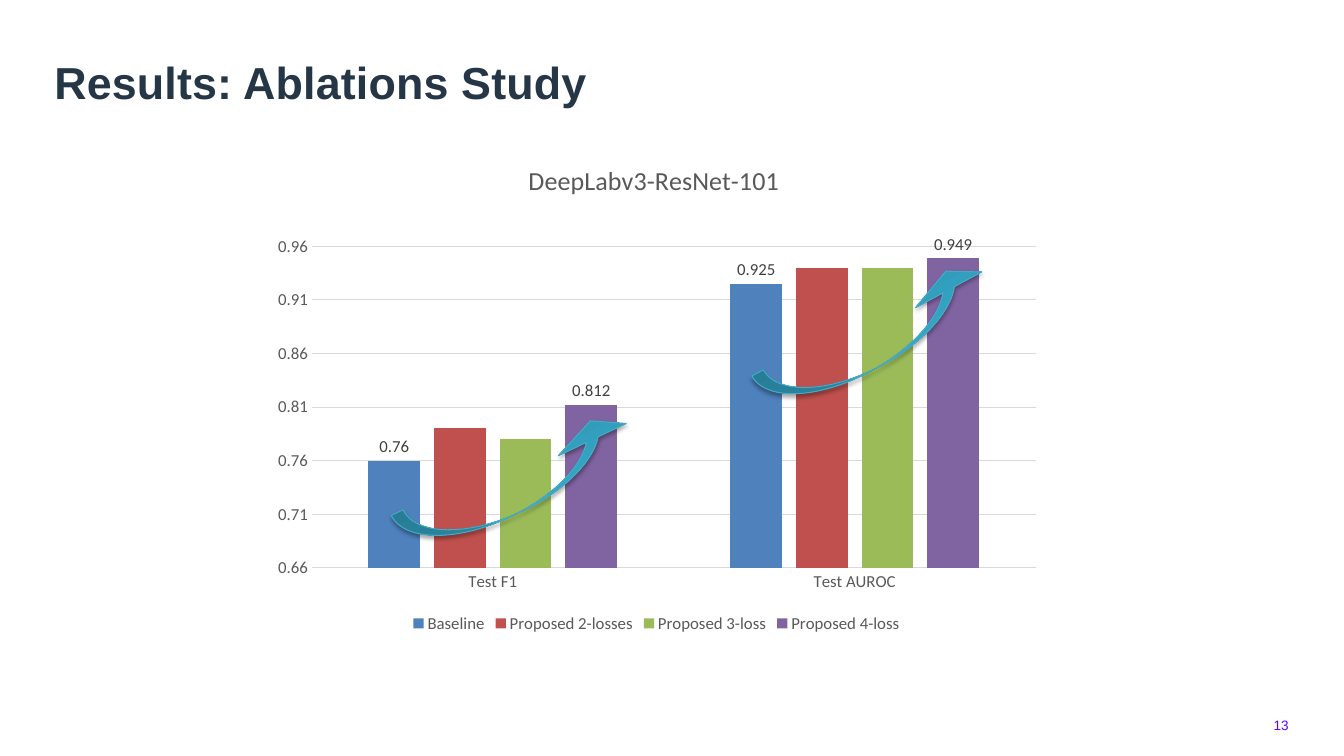
from lxml import etree
from pptx import Presentation
from pptx.chart.data import CategoryChartData
from pptx.dml.color import RGBColor
from pptx.enum.chart import XL_CHART_TYPE, XL_LABEL_POSITION, XL_LEGEND_POSITION, XL_TICK_MARK
from pptx.enum.shapes import MSO_SHAPE
from pptx.enum.text import PP_ALIGN
from pptx.oxml import parse_xml
from pptx.oxml.ns import nsdecls, qn
from pptx.util import Cm, Pt

COLUMNS = XL_CHART_TYPE.COLUMN_CLUSTERED
LABEL_OUTSIDE = XL_LABEL_POSITION.OUTSIDE_END
LEGEND_BOTTOM = XL_LEGEND_POSITION.BOTTOM
NO_TICK = XL_TICK_MARK.NONE
CURVED_ARROW = MSO_SHAPE.CURVED_DOWN_ARROW
LEFT, RIGHT = PP_ALIGN.LEFT, PP_ALIGN.RIGHT

NAVY = RGBColor(0x25, 0x37, 0x46)
VIOLET = RGBColor(0x63, 0x00, 0xFF)
GRAY = RGBColor(0x59, 0x59, 0x59)
DARK_GRAY = RGBColor(0x40, 0x40, 0x40)
LIGHT_GRAY = RGBColor(0xD9, 0xD9, 0xD9)
BLUE = RGBColor(0x4F, 0x81, 0xBD)
RED = RGBColor(0xC0, 0x50, 0x4D)
GREEN = RGBColor(0x9B, 0xBB, 0x59)
PURPLE = RGBColor(0x80, 0x64, 0xA2)
ARROW_LINE = RGBColor(0x46, 0xAA, 0xC5)
ARROW_DARK = RGBColor(0x2A, 0x88, 0xA2)
ARROW_MIDDLE = RGBColor(0x37, 0xB1, 0xD2)
ARROW_LIGHT = RGBColor(0x34, 0xB4, 0xD6)

METRICS = ("Test F1", "Test AUROC")
METHODS = (
    ("Baseline", (0.76, 0.925), BLUE, True),
    ("Proposed 2-losses", (0.79, 0.94), RED, False),
    ("Proposed 3-loss", (0.78, 0.94), GREEN, False),
    ("Proposed 4-loss", (0.812, 0.949), PURPLE, True),
)
RISES = ((9.83, 11.53, 334.6), (18.87, 7.85, 331.6))


class SlideBuilder:
    text_font = "Arial"
    chart_font = "Calibri"

    def __init__(self, slide):
        self.slide = slide

    def text(self, box, words, size, color, spacing, bold=False, align=LEFT, top=0):
        shape = self.slide.shapes.add_textbox(*map(Cm, box))
        frame = shape.text_frame
        frame.word_wrap = True
        frame.margin_left = frame.margin_right = frame.margin_bottom = 0
        frame.margin_top = Cm(top)
        paragraph = frame.paragraphs[0]
        paragraph.alignment = align
        paragraph.line_spacing = Pt(spacing)
        run = paragraph.add_run()
        run.text = words
        self.style(run.font, size, color, self.text_font, bold)
        run.font._element.set("spc", "10")

    def style(self, font, size, color, name, bold=False):
        font.name = name
        font.size = Pt(size)
        font.bold = bold
        font.color.rgb = color

    def place(self, parent, chart_box, left, top, size=()):
        layout = parent.find(qn("c:layout"))
        if layout is None:
            layout = etree.Element(qn("c:layout"))
            before = parent.find(qn("c:tx"))
            if before is None:
                parent.insert(0, layout)
            else:
                before.addnext(layout)
        manual = etree.SubElement(layout, qn("c:manualLayout"))
        if size:
            etree.SubElement(manual, qn("c:layoutTarget"), val="inner")
        for mode in ("xMode", "yMode"):
            etree.SubElement(manual, qn("c:" + mode), val="edge")
        for key, length, whole in zip("xywh", (left, top, *size), chart_box[2:] * 2):
            etree.SubElement(manual, qn("c:" + key), val=str(length / whole))

    def chart(self, box, title, categories, methods):
        data = CategoryChartData()
        data.categories = categories
        for name, values, _, _ in methods:
            data.add_series(name, values)
        chart = self.slide.shapes.add_chart(COLUMNS, *map(Cm, box), data).chart
        chart.font.name = self.chart_font
        chart.font.size = Pt(10)

        chart.has_title = True
        run = chart.chart_title.text_frame.paragraphs[0].add_run()
        run.text = title
        self.style(run.font, 18.6, GRAY, self.chart_font)
        self.place(chart.chart_title._element, box, 6.6, 0.4)

        chart.has_legend = True
        chart.legend.position = LEGEND_BOTTOM
        chart.legend.include_in_layout = False
        self.style(chart.legend.font, 12, GRAY, self.chart_font)

        for axis in (chart.category_axis, chart.value_axis):
            axis.major_tick_mark = axis.minor_tick_mark = NO_TICK
            self.style(axis.tick_labels.font, 12, GRAY, self.chart_font)
        value_axis = chart.value_axis
        value_axis.minimum_scale, value_axis.maximum_scale = 0.66, 0.99
        value_axis.major_unit = 0.05
        value_axis.format.line.fill.background()
        for line in (chart.category_axis.format.line, value_axis.major_gridlines.format.line):
            line.color.rgb = LIGHT_GRAY
            line.width = Pt(0.75)

        plot = chart.plots[0]
        plot.gap_width, plot.overlap = 219, -27
        plot.vary_by_categories = False
        for series, (_, _, color, labelled) in zip(plot.series, methods):
            series.format.fill.solid()
            series.format.fill.fore_color.rgb = color
            if labelled:
                labels = series.data_labels
                labels.show_value = True
                labels.position = LABEL_OUTSIDE
                self.style(labels.font, 12, DARK_GRAY, self.chart_font)
        self.place(chart._chartSpace.chart.plotArea, box, 1.26, 1.84, (18.24, 8.91))

    def curved_arrow(self, left, top, rotation):
        shape = self.slide.shapes.add_shape(CURVED_ARROW, Cm(left), Cm(top), Cm(6.5), Cm(1.32))
        shape.rotation = rotation
        for index, value in enumerate((0.25, 1.433, 0.34)):
            shape.adjustments[index] = value
        shape.line.color.rgb = ARROW_LINE
        shape.line.width = Pt(0.75)
        properties = shape._element.spPr
        properties.find(qn("a:xfrm")).set("flipV", "1")
        stops = "".join(
            f'<a:gs pos="{position}000"><a:srgbClr val="{color}"/></a:gs>'
            for position, color in ((0, ARROW_DARK), (80, ARROW_MIDDLE), (100, ARROW_LIGHT))
        )
        gradient = parse_xml(
            f'<a:gradFill {nsdecls("a")} rotWithShape="1"><a:gsLst>{stops}</a:gsLst>'
            '<a:lin ang="16200000" scaled="0"/></a:gradFill>'
        )
        properties.find(qn("a:prstGeom")).addnext(gradient)
        properties.append(parse_xml(
            f'<a:effectLst {nsdecls("a")}><a:outerShdw blurRad="40000" dist="23000" '
            'dir="5400000" rotWithShape="0"><a:srgbClr val="000000">'
            '<a:alpha val="35000"/></a:srgbClr></a:outerShdw></a:effectLst>'
        ))


def main():
    presentation = Presentation()
    presentation.slide_width, presentation.slide_height = Cm(33.87), Cm(19.05)
    builder = SlideBuilder(presentation.slides.add_slide(presentation.slide_layouts[6]))
    builder.text((1.37, 1.65, 30.28, 1.12), "Results: Ablations Study", 32, NAVY, 28,
                 bold=True, top=0.1)
    builder.text((31.03, 17.71, 1.45, 0.66), "13", 9.7, VIOLET, 21.6, align=RIGHT)
    builder.chart((6.6, 3.56, 19.89, 12.5), "DeepLabv3-ResNet-101", METRICS, METHODS)
    for rise in RISES:
        builder.curved_arrow(*rise)
    presentation.save("out.pptx")


if __name__ == "__main__":
    main()
